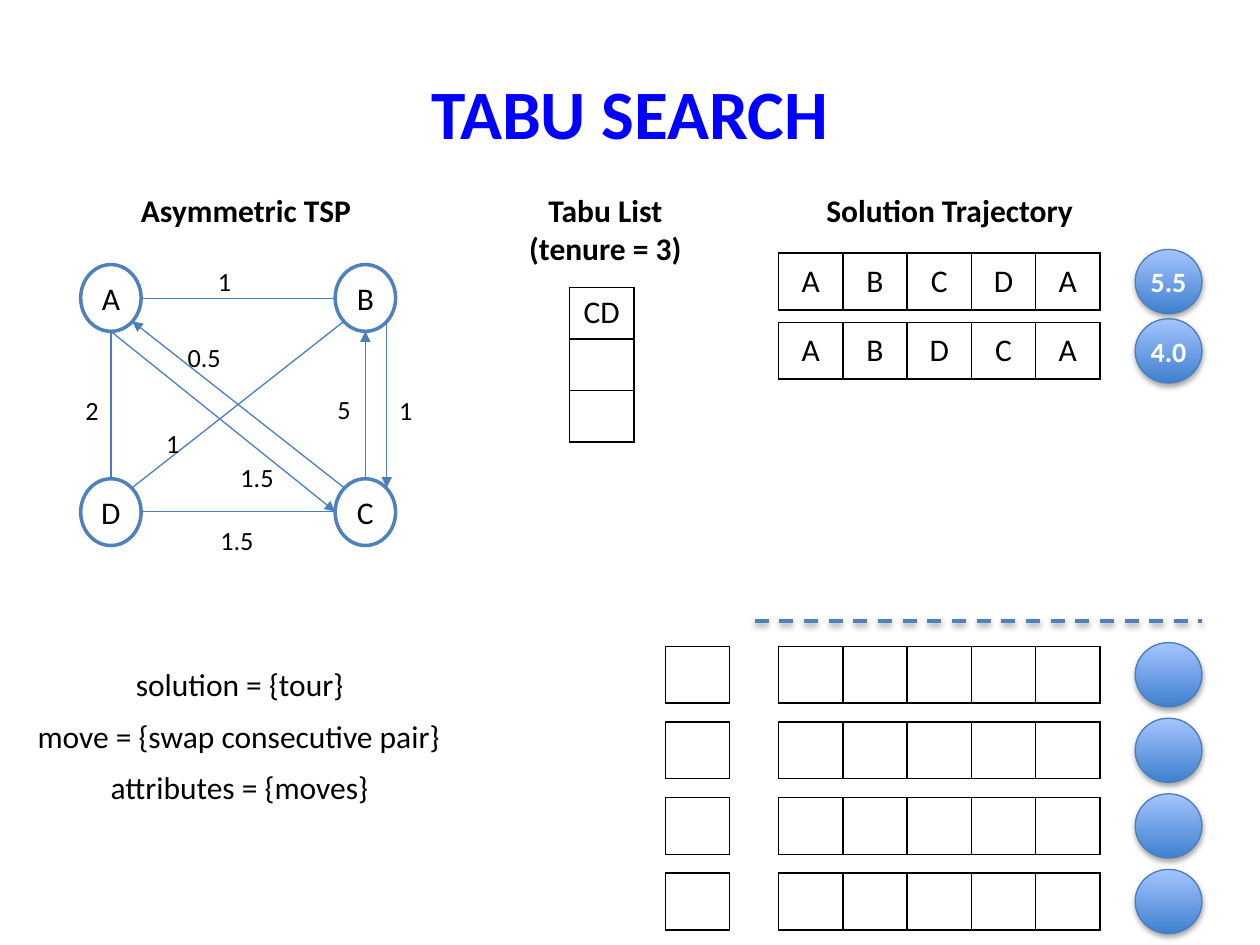
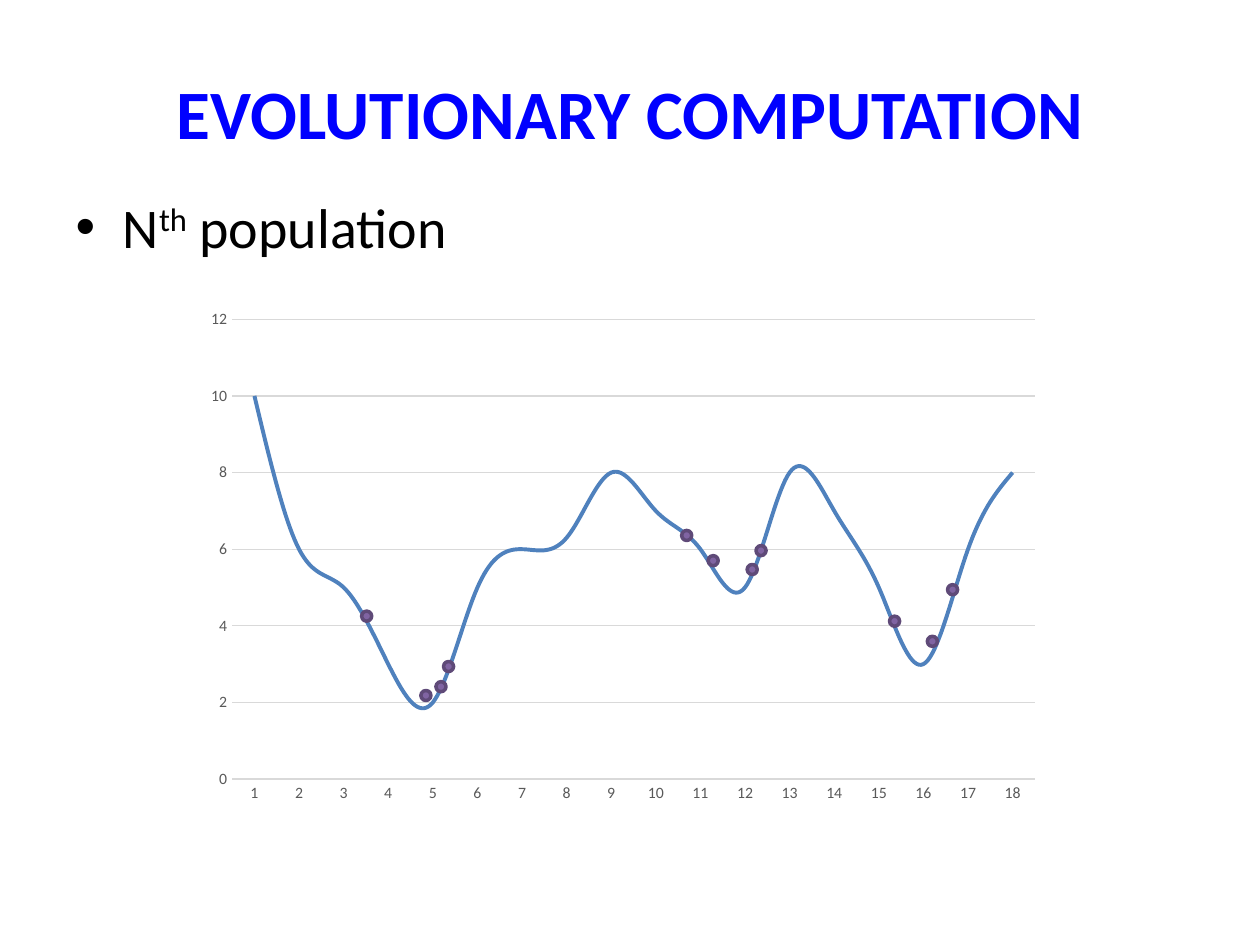
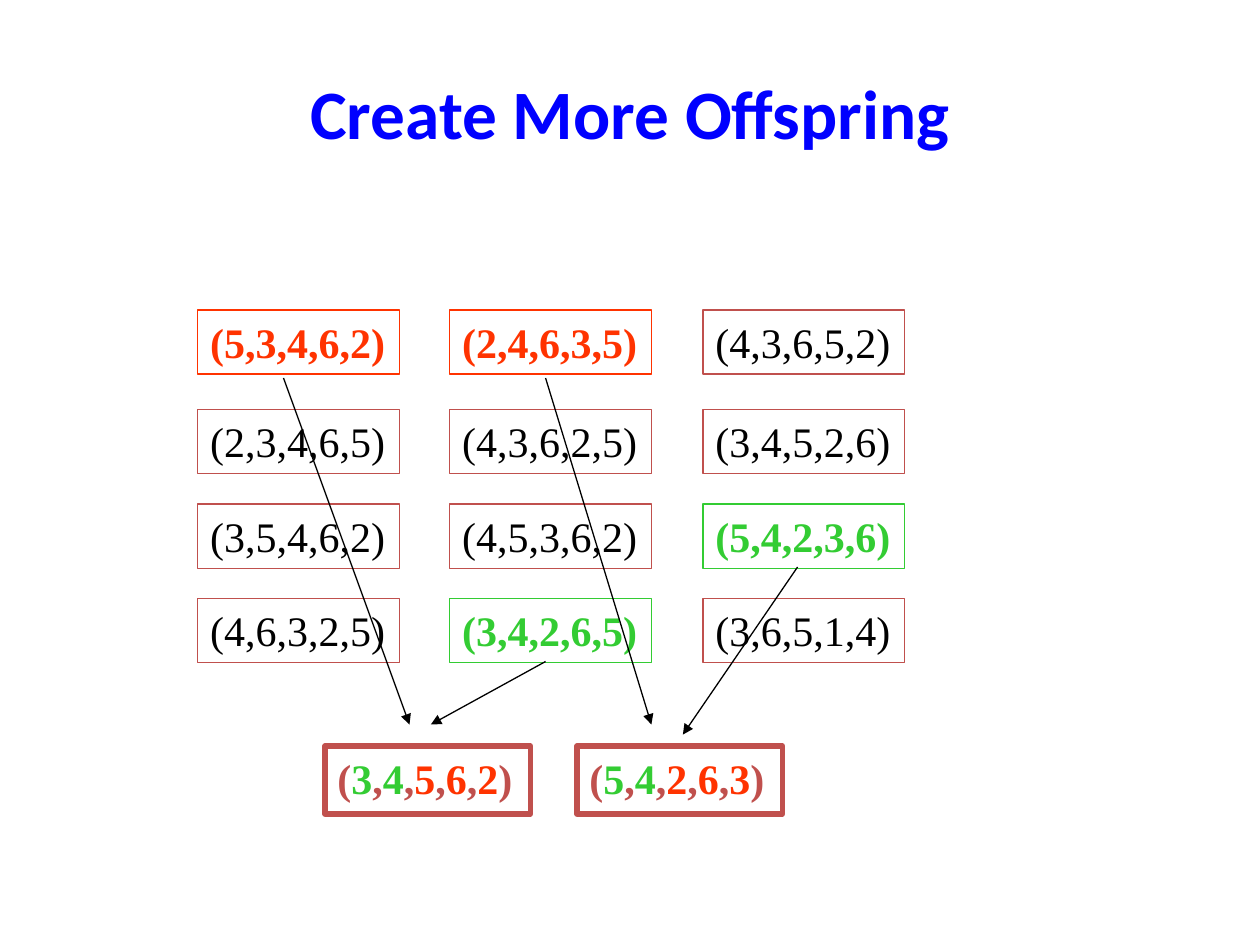
from dataclasses import dataclass

from lxml.etree import SubElement
from pptx import Presentation
from pptx.chart.data import CategoryChartData
from pptx.dml.color import RGBColor
from pptx.enum.chart import XL_CHART_TYPE, XL_TICK_MARK
from pptx.enum.dml import MSO_LINE
from pptx.enum.shapes import MSO_CONNECTOR, MSO_SHAPE
from pptx.enum.text import MSO_ANCHOR, MSO_AUTO_SIZE, PP_ALIGN
from pptx.oxml.ns import qn
from pptx.util import Emu, Pt

TITLE_ONLY, TITLE_AND_BODY = 5, 1
rgb = RGBColor.from_string


@dataclass(frozen=True)
class Theme:
    """Colours, fonts and type sizes of the deck."""
    font: str = "Calibri"
    serif: str = "Times New Roman"
    title: RGBColor = rgb("0000FF")
    black: RGBColor = rgb("000000")
    white: RGBColor = rgb("FFFFFF")
    blue: RGBColor = rgb("4F81BD")
    edge: RGBColor = rgb("4B7EBC")
    ball_dark: RGBColor = rgb("3F80CE")
    ball_light: RGBColor = rgb("A4C4FF")
    dot: RGBColor = rgb("8064A2")
    dot_line: RGBColor = rgb("5F4A78")
    grid: RGBColor = rgb("D9D9D9")
    axis_text: RGBColor = rgb("595959")
    red: RGBColor = rgb("C0504D")
    orange: RGBColor = rgb("FF3300")
    green: RGBColor = rgb("33CC33")
    title_pt: float = 39.6
    body_pt: float = 32
    tour_pt: float = 24
    text_pt: float = 18
    cost_pt: float = 16
    weight_pt: float = 15
    chart_pt: float = 10
    axis_pt: float = 9
    thin: float = 0.75


T = Theme()


@dataclass(frozen=True)
class Label:
    """A text box, one paragraph per line of text."""
    text: str
    x: int
    y: int
    w: int
    h: int = 40
    size: float = T.text_pt
    bold: bool = False
    align: PP_ALIGN = PP_ALIGN.LEFT
    wrap: bool = True


@dataclass(frozen=True)
class Link:
    """A straight line, with or without an arrowhead."""
    x1: int
    y1: int
    x2: int
    y2: int
    arrow: bool = False


@dataclass(frozen=True)
class Oval:
    """An ellipse with optional centred text."""
    x: int
    y: int
    w: int
    h: int
    text: str = ""


HEADINGS = (
    Label("Asymmetric TSP", 102, 147, 202, bold=True),
    Label("Solution Trajectory", 646, 147, 227, bold=True),
    Label("Tabu List\n(tenure = 3)", 408, 147, 145, 71, bold=True, align=PP_ALIGN.CENTER),
)
DEFINITIONS = (
    Label("solution = {tour}", 98, 523, 187, wrap=False),
    Label("move = {swap consecutive pair}", 20, 564, 343, wrap=False),
    Label("attributes = {moves}", 78, 605, 227, wrap=False),
)
WEIGHTS = tuple(
    Label(text, x, y, w, 35, T.weight_pt)
    for text, x, y, w in (
        ("1", 163, 206, 29), ("1", 122, 334, 29), ("1", 307, 308, 29),
        ("2", 58, 308, 29), ("1.5", 165, 411, 48), ("5", 258, 307, 29),
        ("0.5", 139, 266, 48), ("1.5", 181, 361, 61),
    )
)
CITIES = tuple(
    Oval(x, y, 48, 53, name)
    for name, x, y in (("A", 64, 210), ("B", 266, 210), ("D", 64, 380), ("C", 266, 380))
)
ROADS = (
    Link(88, 263, 266, 406, True), Link(273, 387, 105, 255, True),
    Link(88, 263, 88, 380), Link(112, 406, 266, 406),
    Link(273, 255, 105, 387), Link(112, 237, 266, 237),
    Link(307, 255, 307, 387, True), Link(290, 380, 290, 263, True),
)
TRAJECTORY = ((201, "ABCDA", "5.5"), (256, "ABDCA", "4.0"))
CANDIDATE_TOPS = range(513, 694, 60)
CELL_W, TOUR_H, TABU_H = 51, 45, 41

FITNESS = (10, 6, 5, 3, 2, 5, 6, 6.3, 8, 7, 6, 5, 8, 7, 5, 3, 6, 8)
POPULATION = tuple(
    Oval(x, y, 8, 8)
    for x, y in (
        (287, 485), (334, 548), (352, 525), (346, 541), (562, 441), (541, 421),
        (593, 448), (600, 433), (736, 505), (706, 489), (752, 464),
    )
)

TOUR_COLUMNS, TOUR_ROWS = (157, 357, 558), (246, 325, 400, 475)
TOURS = (
    ("(5,3,4,6,2)", "(2,4,6,3,5)", "(4,3,6,5,2)"),
    ("(2,3,4,6,5)", "(4,3,6,2,5)", "(3,4,5,2,6)"),
    ("(3,5,4,6,2)", "(4,5,3,6,2)", "(5,4,2,3,6)"),
    ("(4,6,3,2,5)", "(3,4,2,6,5)", "(3,6,5,1,4)"),
)
PARENTS = {
    "(5,3,4,6,2)": T.orange, "(2,4,6,3,5)": T.orange,
    "(5,4,2,3,6)": T.green, "(3,4,2,6,5)": T.green,
}
OFFSPRING = ((258, "(3,4,5,6,2)"), (458, "(5,4,2,6,3)"))
INHERITANCE = (
    Link(225, 300, 325, 575, True), Link(433, 525, 342, 575, True),
    Link(433, 300, 517, 575, True), Link(633, 450, 542, 583, True),
)


def px(n: int) -> Emu:
    """Turn px, 100 to the inch, into EMU."""
    return Emu(n * 9144)


def box(x: int, y: int, w: int, h: int) -> tuple:
    """Turn a px rectangle into EMU."""
    return px(x), px(y), px(w), px(h)


def set_font(font, size: float, color: RGBColor, bold: bool = False, name: str = T.font) -> None:
    """Format a font."""
    font.name, font.size, font.bold = name, Pt(size), bold
    font.color.rgb = color


def set_line(line, color: RGBColor, width: float) -> None:
    """Format an outline."""
    line.color.rgb = color
    line.width = Pt(width)


def add_shadow(effects, alpha: int, dist: int) -> None:
    """Put a soft downward shadow into an effect list."""
    sh = SubElement(effects, qn("a:outerShdw"), blurRad="40000", dist=str(dist),
                    dir="5400000", rotWithShape="0")
    clr = SubElement(sh, qn("a:srgbClr"), val=str(T.black))
    SubElement(clr, qn("a:alpha"), val=str(alpha * 1000))


def add_slide(prs, title: str, layout: int = TITLE_ONLY):
    """Add a slide with the shared title style."""
    s = prs.slides.add_slide(prs.slide_layouts[layout])
    sp = s.shapes.title
    sp.left, sp.top, sp.width, sp.height = box(50, 50, 900, 78)
    tf = sp.text_frame
    tf.text = title
    tf.auto_size, tf.vertical_anchor = MSO_AUTO_SIZE.NONE, MSO_ANCHOR.MIDDLE
    p = tf.paragraphs[0]
    p.alignment = PP_ALIGN.CENTER
    set_font(p.font, T.title_pt, T.title, True)
    return s


def add_label(s, label: Label) -> None:
    """Draw a text box."""
    tf = s.shapes.add_textbox(*box(label.x, label.y, label.w, label.h)).text_frame
    tf.word_wrap, tf.auto_size = label.wrap, MSO_AUTO_SIZE.SHAPE_TO_FIT_TEXT
    tf.text = label.text
    for p in tf.paragraphs:
        p.alignment = label.align
        set_font(p.font, label.size, T.black, label.bold)


def add_link(s, link: Link, color: RGBColor, width: float = T.thin):
    """Draw a connector and return it with its effect list."""
    cxn = s.shapes.add_connector(MSO_CONNECTOR.STRAIGHT, px(link.x1), px(link.y1),
                                 px(link.x2), px(link.y2))
    set_line(cxn.line, color, width)
    spPr = cxn._element.spPr
    if link.arrow:
        SubElement(spPr.find(qn("a:ln")), qn("a:tailEnd"), type="triangle")
    return cxn, SubElement(spPr, qn("a:effectLst"))


def add_oval(s, oval: Oval, line: RGBColor, width: float):
    """Draw an ellipse without shadow, ready to be filled."""
    sp = s.shapes.add_shape(MSO_SHAPE.OVAL, *box(oval.x, oval.y, oval.w, oval.h))
    sp.shadow.inherit = False
    set_line(sp.line, line, width)
    return sp


def set_oval_text(sp, text: str, size: float, color: RGBColor, bold: bool = False) -> None:
    """Centre text in an ellipse."""
    tf = sp.text_frame
    tf.word_wrap, tf.vertical_anchor = False, MSO_ANCHOR.MIDDLE
    tf.margin_left = tf.margin_right = tf.margin_top = tf.margin_bottom = 0
    tf.text = text
    p = tf.paragraphs[0]
    p.alignment = PP_ALIGN.CENTER
    set_font(p.font, size, color, bold)


def add_city(s, city: Oval) -> None:
    """Draw a node of the graph."""
    sp = add_oval(s, city, T.blue, 2)
    sp.fill.solid()
    sp.fill.fore_color.rgb = T.white
    set_oval_text(sp, city.text, T.text_pt, T.black)


def add_cost(s, y: int, text: str = "") -> None:
    """Draw the glossy cost ball beside a tour row."""
    sp = add_oval(s, Oval(901, y - 3, 53, 51), T.edge, T.thin)
    sp.fill.gradient()
    sp.fill.gradient_angle = 90
    for stop, color in zip(sp.fill.gradient_stops, (T.ball_dark, T.ball_light)):
        stop.color.rgb = color
    add_shadow(sp._element.spPr.find(qn("a:effectLst")), 35, 23000)
    if text:
        set_oval_text(sp, text, T.cost_pt, T.white, True)


def add_grid(s, x: int, y: int, row_h: int, rows: list[str], anchor=MSO_ANCHOR.MIDDLE) -> None:
    """Draw a ruled table with one character group per cell."""
    n, m = len(rows), len(rows[0])
    tbl = s.shapes.add_table(n, m, *box(x, y, m * CELL_W, n * row_h)).table
    tbl.first_row = tbl.horz_banding = False
    for i, row in enumerate(rows):
        for j, text in enumerate(row):
            cell = tbl.cell(i, j)
            tcPr = cell._tc.get_or_add_tcPr()
            for side in ("lnL", "lnR", "lnT", "lnB"):
                ln = SubElement(tcPr, qn(f"a:{side}"), w=str(Pt(1)))
                SubElement(SubElement(ln, qn("a:solidFill")), qn("a:srgbClr"), val=str(T.black))
            cell.fill.background()
            cell.vertical_anchor = anchor
            cell.text = text
            p = cell.text_frame.paragraphs[0]
            p.alignment = PP_ALIGN.CENTER
            set_font(p.font, T.text_pt, T.black)


def add_fitness_chart(s) -> None:
    """Draw the smooth fitness curve."""
    data = CategoryChartData()
    data.categories = [str(i + 1) for i in range(len(FITNESS))]
    data.add_series("Series 1", FITNESS)
    chart = s.shapes.add_chart(XL_CHART_TYPE.LINE, *box(154, 238, 681, 407), data).chart
    chart.has_legend = chart.has_title = False
    set_font(chart.font, T.chart_pt, T.black)
    plot = chart.plots[0]
    plot.vary_by_categories = False
    plot.series[0].smooth = True
    set_line(plot.series[0].format.line, T.blue, 2.25)
    for axis in (chart.category_axis, chart.value_axis):
        axis.major_tick_mark = axis.minor_tick_mark = XL_TICK_MARK.NONE
        set_font(axis.tick_labels.font, T.axis_pt, T.axis_text)
    set_line(chart.category_axis.format.line, T.grid, T.thin)
    chart.value_axis.format.line.fill.background()
    set_line(chart.value_axis.major_gridlines.format.line, T.grid, T.thin)


def add_tour_box(s, x: int, y: int, w: int, h: int, line: RGBColor, width: float):
    """Draw an outlined box and return its paragraph."""
    sp = s.shapes.add_shape(MSO_SHAPE.RECTANGLE, *box(x, y, w, h))
    sp.shadow.inherit = False
    sp.fill.background()
    set_line(sp.line, line, width)
    tf = sp.text_frame
    tf.word_wrap, tf.auto_size = False, MSO_AUTO_SIZE.SHAPE_TO_FIT_TEXT
    tf.vertical_anchor = MSO_ANCHOR.TOP
    p = tf.paragraphs[0]
    p.alignment = PP_ALIGN.LEFT
    return p


def add_tour(s, x: int, y: int, tour: str) -> None:
    """Draw a member of the population, coloured if it is a parent."""
    p = add_tour_box(s, x, y, 160, 51, PARENTS.get(tour, T.red), T.thin)
    p.text = tour
    set_font(p.font, T.tour_pt, PARENTS.get(tour, T.black), tour in PARENTS, T.serif)


def add_offspring(s, x: int, tour: str) -> None:
    """Draw a child tour with each digit in the colour of its parent."""
    p = add_tour_box(s, x, 592, 163, 54, T.red, 3)
    for i, char in enumerate(tour):
        r = p.add_run()
        r.text = char
        color = (T.green if i < 4 else T.orange) if char.isdigit() else T.red
        set_font(r.font, T.tour_pt, color, True, T.serif)


def build_tabu(prs) -> None:
    """Build the tabu search slide."""
    s = add_slide(prs, "TABU SEARCH")
    for label in HEADINGS + DEFINITIONS:
        add_label(s, label)
    for y, tour, cost in TRAJECTORY:
        add_grid(s, 618, y, TOUR_H, [tour])
        add_cost(s, y, cost)
    add_grid(s, 452, 228, TABU_H, [["CD"], [""], [""]], MSO_ANCHOR.TOP)
    cxn, effects = add_link(s, Link(599, 493, 954, 493), T.blue, 2)
    cxn.line.dash_style = MSO_LINE.DASH
    add_shadow(effects, 38, 20000)
    for y in CANDIDATE_TOPS:
        add_grid(s, 528, y, TOUR_H, [[""]])
        add_grid(s, 618, y, TOUR_H, [[""] * 5])
        add_cost(s, y)
    for city in CITIES:
        add_city(s, city)
    for road in ROADS:
        add_link(s, road, T.edge)
    for label in WEIGHTS:
        add_label(s, label)


def build_evolution(prs) -> None:
    """Build the evolutionary computation slide."""
    s = add_slide(prs, "EVOLUTIONARY COMPUTATION", TITLE_AND_BODY)
    sp = s.placeholders[1]
    sp.left, sp.top, sp.width, sp.height = box(50, 148, 900, 565)
    p = sp.text_frame.paragraphs[0]
    p.space_before = Pt(0)
    set_font(p.font, T.body_pt, T.black)
    for text, baseline in (("N", 0), ("th", 30000), (" population", 0)):
        r = p.add_run()
        r.text = text
        if baseline:
            r.font._element.set("baseline", str(baseline))
    add_fitness_chart(s)
    for dot in POPULATION:
        sp = add_oval(s, dot, T.dot_line, 2)
        sp.fill.solid()
        sp.fill.fore_color.rgb = T.dot


def build_offspring(prs) -> None:
    """Build the offspring slide."""
    s = add_slide(prs, "Create More Offspring")
    for y, row in zip(TOUR_ROWS, TOURS):
        for x, tour in zip(TOUR_COLUMNS, row):
            add_tour(s, x, y, tour)
    for x, tour in OFFSPRING:
        add_offspring(s, x, tour)
    for link in INHERITANCE:
        add_link(s, link, T.black)


def main() -> None:
    """Build and save the deck."""
    prs = Presentation()
    prs.slide_width, prs.slide_height = px(1000), px(750)
    for build in (build_tabu, build_evolution, build_offspring):
        build(prs)
    prs.save("out.pptx")


if __name__ == "__main__":
    main()
